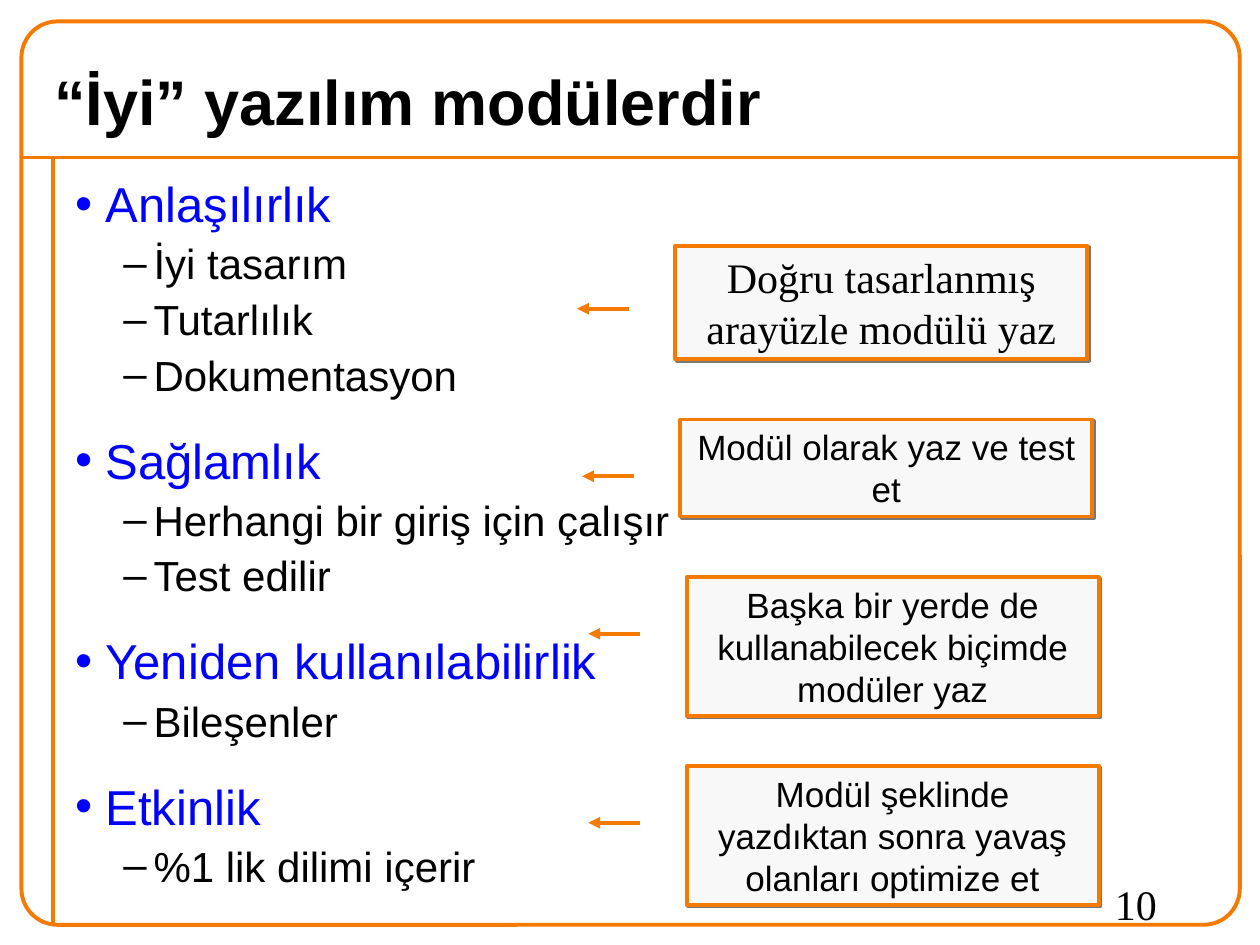
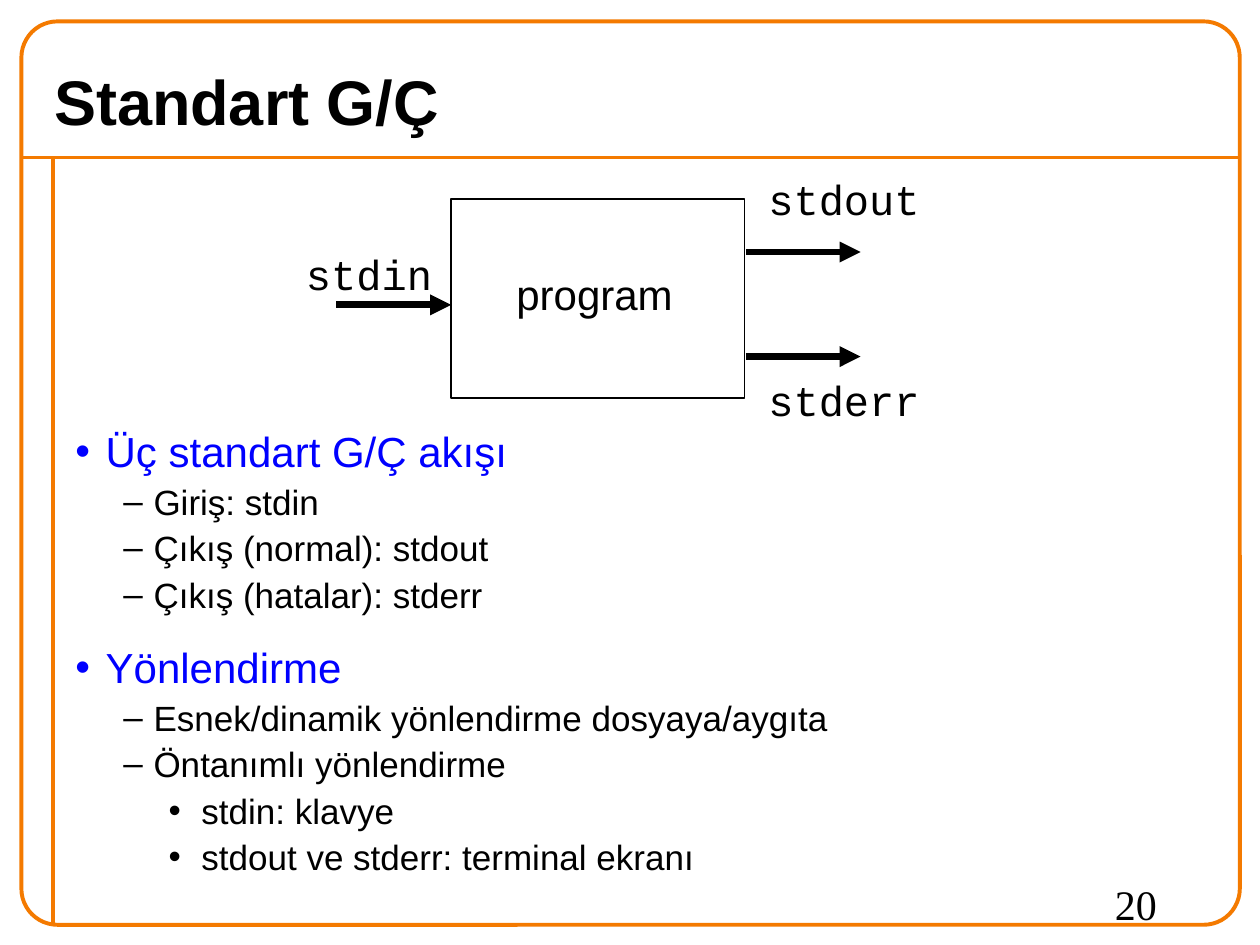
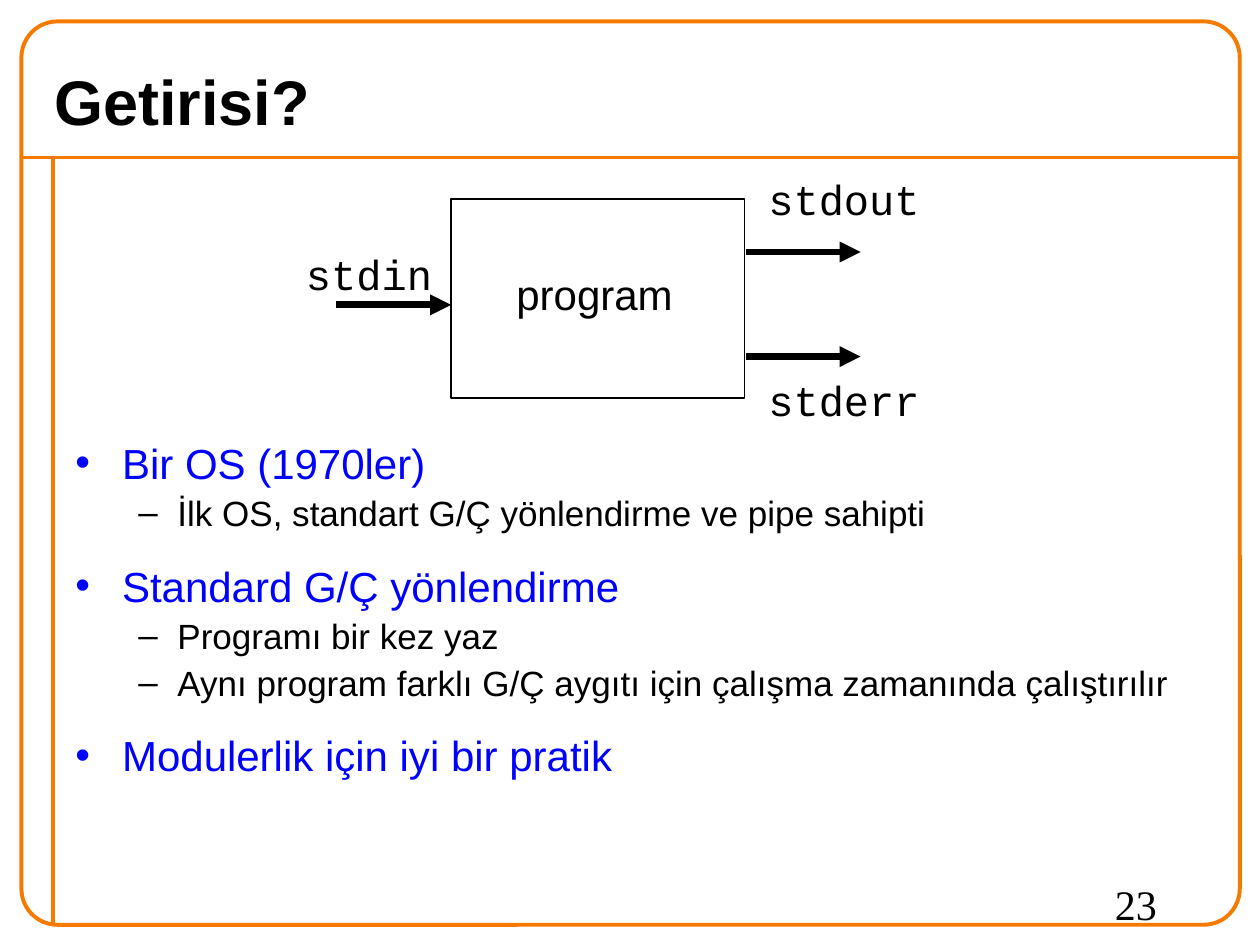
from pptx import Presentation
from pptx.dml.color import RGBColor
from pptx.enum.shapes import MSO_CONNECTOR, MSO_SHAPE
from pptx.enum.text import MSO_ANCHOR, MSO_AUTO_SIZE, PP_ALIGN
from pptx.oxml import parse_xml
from pptx.oxml.ns import nsdecls
from pptx.util import Inches, Pt

COLORS = {name: RGBColor.from_string(value) for name, value in {
    "orange": "F47A00", "blue": "0000FF", "black": "000000",
    "white": "FFFFFF", "pale": "F8F8F8", "shadow": "777777",
}.items()}

MODULAR = [
    (0, "Anlaşılırlık"), (1, "İyi tasarım"), (1, "Tutarlılık"), (1, "Dokumentasyon"),
    (0, "Sağlamlık"), (1, "Herhangi bir giriş için çalışır"), (1, "Test edilir"),
    (0, "Yeniden kullanılabilirlik"), (1, "Bileşenler"),
    (0, "Etkinlik"), (1, "%1 lik dilimi içerir"),
]
STREAMS = [
    (0, "Üç standart G/Ç akışı"), (1, "Giriş: stdin"),
    (1, "Çıkış (normal): stdout"), (1, "Çıkış (hatalar): stderr"),
    (0, "Yönlendirme"), (1, "Esnek/dinamik yönlendirme dosyaya/aygıta"),
    (1, "Öntanımlı yönlendirme"), (2, "stdin: klavye"),
    (2, "stdout ve stderr: terminal ekranı"),
]
BENEFITS = [
    (0, "Bir OS (1970ler)"), (1, "İlk OS, standart G/Ç yönlendirme ve pipe sahipti"),
    (0, "Standard G/Ç yönlendirme"), (1, "Programı bir kez yaz"),
    (1, "Aynı program farklı G/Ç aygıtı için çalışma zamanında çalıştırılır"),
    (0, "Modulerlik için iyi bir pratik"),
]
CALLOUTS = [
    (5.4, 3.33, 0.77, 3.78, "Modül olarak yaz ve test et", 20, "Arial"),
    (5.36, 1.95, 0.9, 2.45, "Doğru tasarlanmış arayüzle modülü yaz", 24, "Times New Roman"),
    (5.45, 4.58, 1.1, 5.03, "Başka bir yerde de kullanabilecek biçimde modüler yaz", 20, "Arial"),
    (5.45, 6.08, 1.1, 6.53, "Modül şeklinde yazdıktan sonra yavaş olanları optimize et", 20, "Arial"),
]
STREAM_ARROWS = [(2.67, 3.58, 2.42), (5.92, 6.83, 2), (5.92, 6.83, 2.83)]
STREAM_LABELS = [
    (2.33, 1.92, 1.2, "stdin", "Courier New"), (4, 2.08, 1.44, "program", "Arial"),
    (6, 1.33, 1.4, "stdout", "Courier New"), (6, 2.92, 1.4, "stderr", "Courier New"),
]
NARROW_INDENTS = [(0.24, -0.24), (0.62, -0.24), (1, -0.26)]
WIDE_INDENTS = [(0.37, -0.37), (0.81, -0.31)]
BULLETS = "•–•"

PAGES = [
    ("“İyi” yazılım modülerdir", "10", MODULAR, 1.33, [28, 24], [17.5, 3], NARROW_INDENTS),
    ("Standart G/Ç", "20", STREAMS, 3.33, [24, 20, 20], [15, 2.5, 2.5], NARROW_INDENTS),
    ("Getirisi?", "23", BENEFITS, 3.42, [24, 20], [15, 2.5], WIDE_INDENTS),
]


def write(paragraph, text, size, font="Arial", color="black", bold=False):
    run = paragraph.add_run()
    run.text = text
    run.font.size = Pt(size)
    run.font.name = font
    run.font.bold = bold
    run.font.color.rgb = COLORS[color]


def draw_line(shapes, start, end, color, width, arrow=False):
    line = shapes.add_connector(MSO_CONNECTOR.STRAIGHT, *map(Inches, start + end))
    line.line.color.rgb = COLORS[color]
    line.line.width = Pt(width)
    if arrow:
        line.line._get_or_add_ln().append(
            parse_xml(f'<a:tailEnd {nsdecls("a")} type="triangle"/>'))
    line._element.spPr.append(parse_xml(f'<a:effectLst {nsdecls("a")}/>'))


deck = Presentation()
deck.slide_width = Inches(10)
deck.slide_height = Inches(7.5)

for heading, number, outline, outline_top, sizes, gaps, indents in PAGES:
    slide = deck.slides.add_slide(deck.slide_layouts[5])

    draw_line(slide.shapes, (0.17, 1.25), (9.83, 1.25), "orange", 2.25)
    draw_line(slide.shapes, (0.42, 1.25), (0.42, 7.33), "orange", 2.25)
    frame = slide.shapes.add_shape(MSO_SHAPE.ROUNDED_RECTANGLE, Inches(0.17), Inches(0.17),
                                   Inches(9.67), Inches(7.17))
    frame.adjustments[0] = 0.04
    frame.fill.background()
    frame.line.color.rgb = COLORS["orange"]
    frame.line.width = Pt(2.25)
    frame.shadow.inherit = False

    title = slide.shapes.title
    title.left, title.top, title.width, title.height = map(Inches, (0.33, 0.42, 9.33, 0.75))
    title.text_frame.auto_size = MSO_AUTO_SIZE.NONE
    title.text_frame.vertical_anchor = MSO_ANCHOR.MIDDLE
    title.text_frame.paragraphs[0].alignment = PP_ALIGN.LEFT
    write(title.text_frame.paragraphs[0], heading, 36, bold=True)

    body = slide.shapes.add_textbox(Inches(0.5), Inches(outline_top), Inches(9.25),
                                    Inches(7.33 - outline_top)).text_frame
    body.word_wrap = True
    for position, (level, text) in enumerate(outline):
        point = body.add_paragraph() if position else body.paragraphs[0]
        point.level = level
        point.space_before = Pt(gaps[level])
        color = "black" if level else "blue"
        margin, hanging = indents[level]
        properties = point._p.get_or_add_pPr()
        properties.set("marL", str(Inches(margin)))
        properties.set("indent", str(Inches(hanging)))
        properties.append(parse_xml(
            f'<a:buClr {nsdecls("a")}><a:srgbClr val="{COLORS[color]}"/></a:buClr>'))
        properties.append(parse_xml(f'<a:buFont {nsdecls("a")} typeface="Arial"/>'))
        properties.append(parse_xml(f'<a:buChar {nsdecls("a")} char="{BULLETS[level]}"/>'))
        write(point, text, sizes[level], color=color)

    if outline is MODULAR:
        for left, top, height, arrow_y, advice, size, font in CALLOUTS:
            callout_group = slide.shapes.add_group_shape().shapes
            callout = callout_group.add_shape(MSO_SHAPE.RECTANGLE, Inches(left), Inches(top),
                                              Inches(3.27), Inches(height))
            callout.fill.solid()
            callout.fill.fore_color.rgb = COLORS["pale"]
            callout.line.color.rgb = COLORS["orange"]
            callout.line.width = Pt(2.25)
            callout._element.spPr.append(parse_xml(
                f'<a:effectLst {nsdecls("a")}><a:outerShdw dist="{Pt(1.4)}" dir="2700000" '
                f'algn="ctr" rotWithShape="0"><a:srgbClr val="{COLORS["shadow"]}"/>'
                '</a:outerShdw></a:effectLst>'))
            callout.text_frame.word_wrap = True
            callout.text_frame.auto_size = MSO_AUTO_SIZE.SHAPE_TO_FIT_TEXT
            callout.text_frame.vertical_anchor = MSO_ANCHOR.TOP
            callout.text_frame.paragraphs[0].alignment = PP_ALIGN.CENTER
            write(callout.text_frame.paragraphs[0], advice, size, font)
            draw_line(callout_group, (left - 0.37, arrow_y), (left - 0.78, arrow_y),
                      "orange", 2.25, arrow=True)
    else:
        diagram = slide.shapes.add_group_shape().shapes
        program = diagram.add_shape(MSO_SHAPE.RECTANGLE, Inches(3.58), Inches(1.58),
                                    Inches(2.33), Inches(1.58))
        program.fill.solid()
        program.fill.fore_color.rgb = COLORS["white"]
        program.line.color.rgb = COLORS["black"]
        program.line.width = Pt(0.75)
        program.shadow.inherit = False
        for start_x, end_x, y in STREAM_ARROWS:
            draw_line(diagram, (start_x, y), (end_x, y), "black", 4, arrow=True)
        for left, top, width, name, font in STREAM_LABELS:
            label = diagram.add_textbox(Inches(left), Inches(top), Inches(width),
                                        Inches(0.5)).text_frame
            label.word_wrap = False
            label.auto_size = MSO_AUTO_SIZE.SHAPE_TO_FIT_TEXT
            write(label.paragraphs[0], name, 24, font)

    page_number = slide.shapes.add_textbox(Inches(8.75), Inches(6.92), Inches(1), Inches(0.5))
    page_number.text_frame.word_wrap = True
    write(page_number.text_frame.paragraphs[0], number, 24, "Times New Roman")

deck.save("out.pptx")
